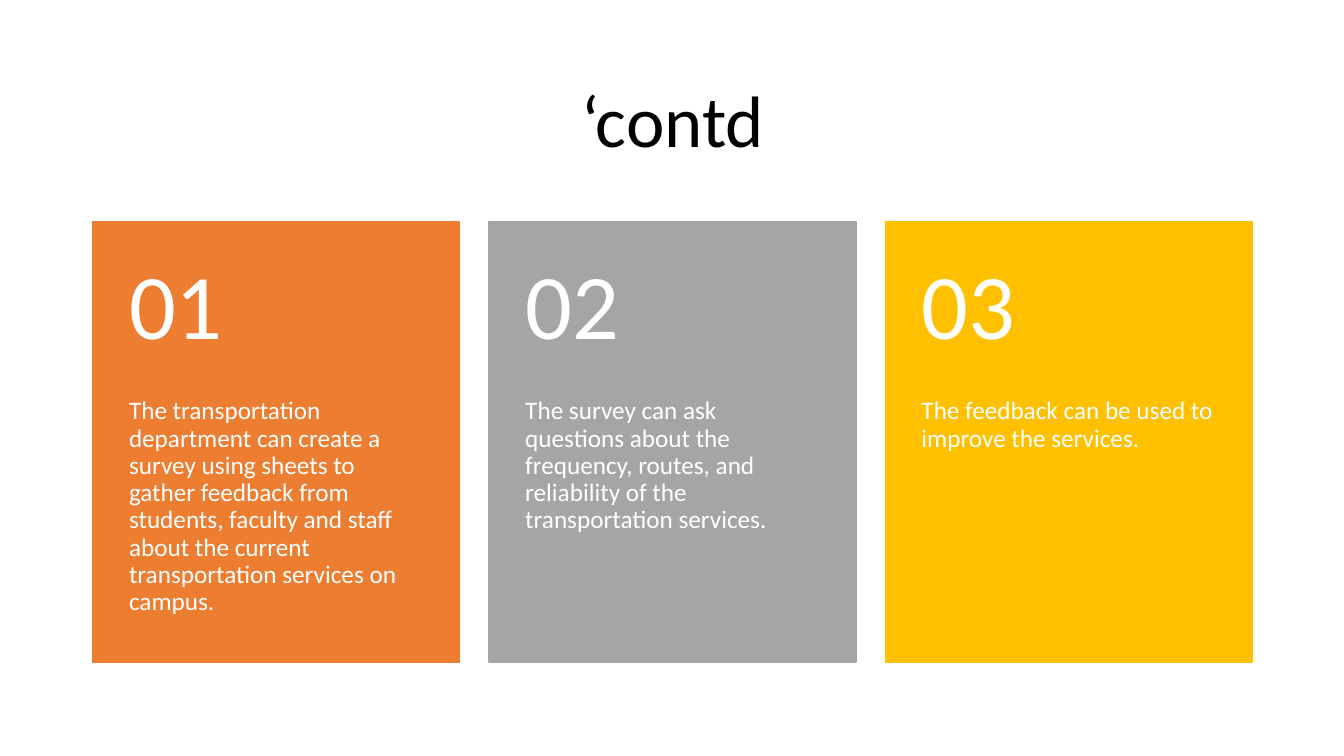
from pptx import Presentation
from pptx.dml.color import RGBColor
from pptx.enum.shapes import MSO_SHAPE
from pptx.enum.text import MSO_ANCHOR, PP_ALIGN
from pptx.util import Inches, Pt

RECTANGLE = MSO_SHAPE.RECTANGLE
TOP, MIDDLE = MSO_ANCHOR.TOP, MSO_ANCHOR.MIDDLE
LEFT, CENTER = PP_ALIGN.LEFT, PP_ALIGN.CENTER

COLORS = {
    "black": "000000",
    "white": "FFFFFF",
    "orange": "ED7D31",
    "gray": "A5A5A5",
    "gold": "FFC000",
}

CARDS = [
    ("orange", "The transportation department can create a survey using sheets to gather "
               "feedback from students, faculty and staff about the current "
               "transportation services on campus."),
    ("gray", "The survey can ask questions about the frequency, routes, and "
             "reliability of the transportation services."),
    ("gold", "The feedback can be used to improve the services."),
]

# Card grid, in inches
MARGIN, CARD_TOP = 0.92, 2.2
CARD_WIDTH, CARD_HEIGHT, CARD_STEP = 3.64, 4.37, 3.93
NUMBER_HEIGHT = 1.75


def color(name):
    return RGBColor.from_string(COLORS[name])


def write(frame, text, size, ink="white", align=LEFT, font="Calibri"):
    para = frame.paragraphs[0]
    para.alignment = align
    para.line_spacing = 0.9
    span = para.add_run()
    span.text = text
    span.font.name = font
    span.font.size = Pt(size)
    span.font.color.rgb = color(ink)


class SlideBuilder:
    def __init__(self, slide, font="Calibri"):
        self.slide = slide
        self.font = font

    def panel(self, left, top, width, height, fill):
        box = self.slide.shapes.add_shape(
            RECTANGLE, Inches(left), Inches(top), Inches(width), Inches(height))
        box.shadow.inherit = False
        box.fill.solid()
        box.fill.fore_color.rgb = color(fill)
        box.line.color.rgb = color(fill)
        box.line.width = Pt(1)

    def text(self, left, top, width, height, text, size,
             insets=(0.1, 0.05, 0.1, 0.05), anchor=MIDDLE, **style):
        box = self.slide.shapes.add_textbox(
            Inches(left), Inches(top), Inches(width), Inches(height))
        frame = box.text_frame
        frame.word_wrap = True
        frame.vertical_anchor = anchor
        (frame.margin_left, frame.margin_top,
         frame.margin_right, frame.margin_bottom) = map(Inches, insets)
        write(frame, text, size, font=self.font, **style)

    def card(self, left, number, fill, text):
        self.panel(left, CARD_TOP, CARD_WIDTH, CARD_HEIGHT, fill)
        self.text(left, CARD_TOP + NUMBER_HEIGHT, CARD_WIDTH,
                  CARD_HEIGHT - NUMBER_HEIGHT, text, 18,
                  insets=(0.36, 0, 0.36, 0.36), anchor=TOP)
        self.text(left, CARD_TOP, CARD_WIDTH, NUMBER_HEIGHT, f"{number:02d}", 66,
                  insets=(0.36, 0.18, 0.36, 0.18))


def main():
    deck = Presentation()
    deck.slide_width, deck.slide_height = Inches(13.33), Inches(7.5)
    page = SlideBuilder(deck.slides.add_slide(deck.slide_layouts[6]))

    # Title
    page.text(MARGIN, 0.61, 11.5, 1.24, "‘contd", 52, ink="black", align=CENTER)

    # Numbered cards
    for index, (fill, text) in enumerate(CARDS):
        page.card(MARGIN + index * CARD_STEP, index + 1, fill, text)

    deck.save("out.pptx")


if __name__ == "__main__":
    main()
